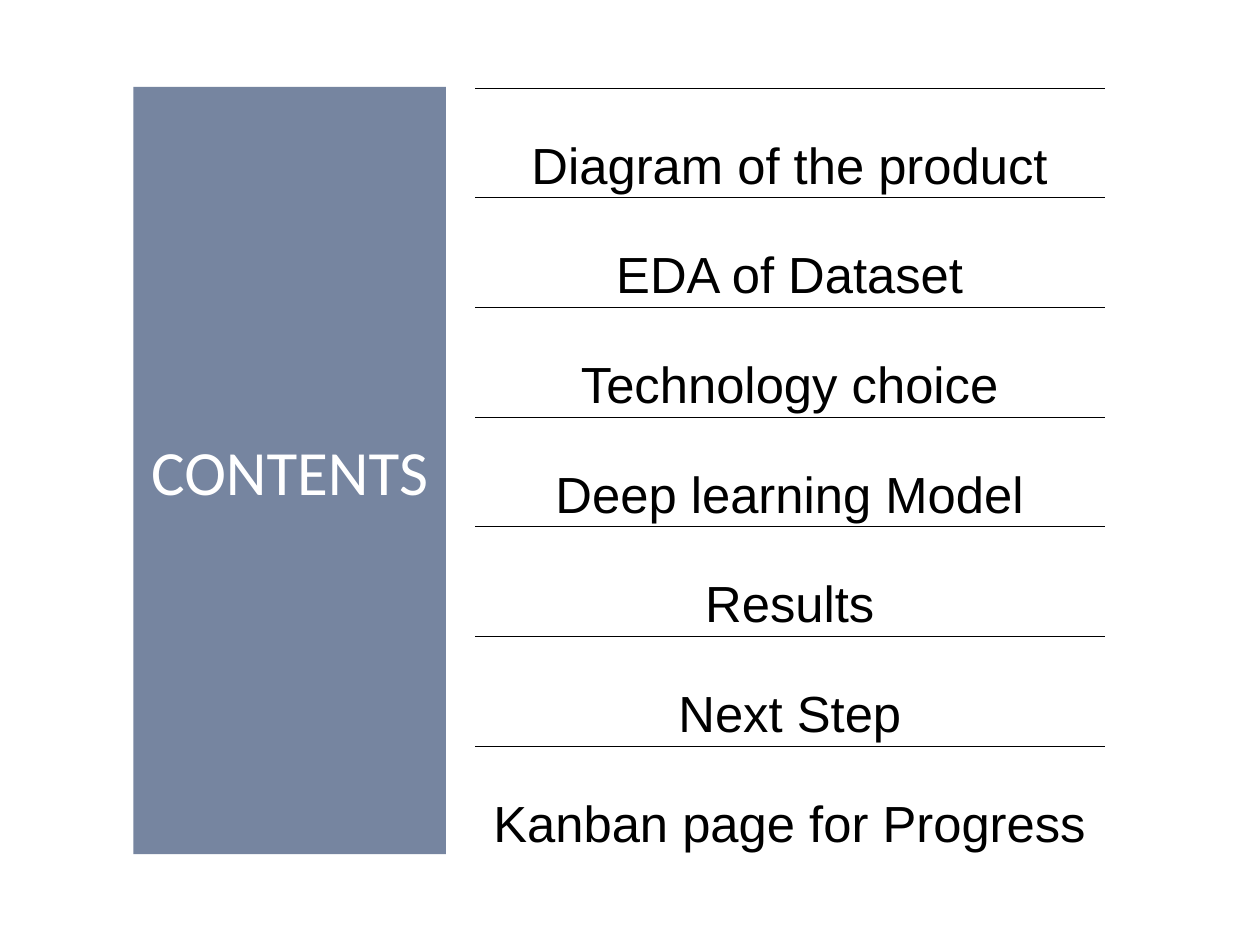
"""Build a contents slide: a tinted title panel beside a ruled list of topics."""
from dataclasses import dataclass

from lxml import etree
from pptx import Presentation
from pptx import util as u
from pptx.dml.color import RGBColor
from pptx.enum import shapes, text
from pptx.oxml.ns import qn


@dataclass(frozen=True)
class Theme:
    """Colours, fonts and type sizes of the slide."""
    panel: str = "203864"
    panel_alpha: int = 61
    ink: str = "000000"
    light: str = "FFFFFF"
    title_font: str = "Calibri"
    list_font: str = "Arial"
    title_size: int = 36
    list_size: int = 29
    rule_width: float = 0.5


THEME = Theme()
TOPICS = ["Diagram of the product", "EDA of Dataset", "Technology choice",
          "Deep learning Model", "Results", "Next Step", "Kanban page for Progress"]
LIST_LEFT, LIST_TOP, LIST_WIDTH, ROW_HEIGHT = 9.58, 1.78, 12.69, 2.21


def write(box, words, *, font, size, color, inset, anchor, spacing=1.0, after=0):
    """Put one centred, formatted paragraph into a shape."""
    frame = box.text_frame
    frame.word_wrap = True
    frame.auto_size = text.MSO_AUTO_SIZE.NONE
    frame.vertical_anchor = anchor
    frame.margin_left = frame.margin_right = u.Cm(inset)
    frame.margin_top = frame.margin_bottom = u.Cm(inset)
    para = frame.paragraphs[0]
    para.alignment = text.PP_ALIGN.CENTER
    para.line_spacing = spacing
    para.space_before, para.space_after = u.Pt(0), u.Pt(after)
    span = para.add_run()
    span.text = words
    span.font.name, span.font.size = font, u.Pt(size)
    span.font.color.rgb = RGBColor.from_string(color)


def add_title_panel(page, words):
    """Turn the title placeholder into the translucent side panel."""
    panel = page.shapes.title
    panel.left, panel.top = u.Cm(2.69), u.Cm(1.75)
    panel.width, panel.height = u.Cm(6.3), u.Cm(15.47)
    panel.fill.solid()
    panel.fill.fore_color.rgb = RGBColor.from_string(THEME.panel)
    color = panel.element.spPr.find(f".//{qn('a:srgbClr')}")
    etree.SubElement(color, qn("a:alpha"), val=str(THEME.panel_alpha * 1000))
    write(panel, words, font=THEME.title_font, size=THEME.title_size,
          color=THEME.light, inset=0.25, anchor=text.MSO_ANCHOR.MIDDLE)


def add_rule(page, top):
    """Draw a thin horizontal rule across the list."""
    rule = page.shapes.add_connector(
        shapes.MSO_CONNECTOR.STRAIGHT, u.Cm(LIST_LEFT), u.Cm(top),
        u.Cm(LIST_LEFT + LIST_WIDTH), u.Cm(top))
    rule.line.color.rgb = RGBColor.from_string(THEME.ink)
    rule.line.width = u.Pt(THEME.rule_width)
    etree.SubElement(rule.element.spPr, qn("a:effectLst"))


def add_topic(page, words, top):
    """Add one list row: a rule with its topic below."""
    add_rule(page, top)
    box = page.shapes.add_textbox(u.Cm(LIST_LEFT), u.Cm(top),
                                  u.Cm(LIST_WIDTH), u.Cm(ROW_HEIGHT))
    write(box, words, font=THEME.list_font, size=THEME.list_size, color=THEME.ink,
          inset=0.3, anchor=text.MSO_ANCHOR.TOP, spacing=1.5, after=12)


def main():
    """Build and save the deck."""
    deck = Presentation()
    deck.slide_width, deck.slide_height = u.Cm(25.4), u.Cm(19.05)
    page = deck.slides.add_slide(deck.slide_layouts.get_by_name("Title Only"))
    add_title_panel(page, "CONTENTS")
    for row, topic in enumerate(TOPICS):
        add_topic(page, topic, LIST_TOP + row * ROW_HEIGHT)
    deck.save("out.pptx")


if __name__ == "__main__":
    main()
